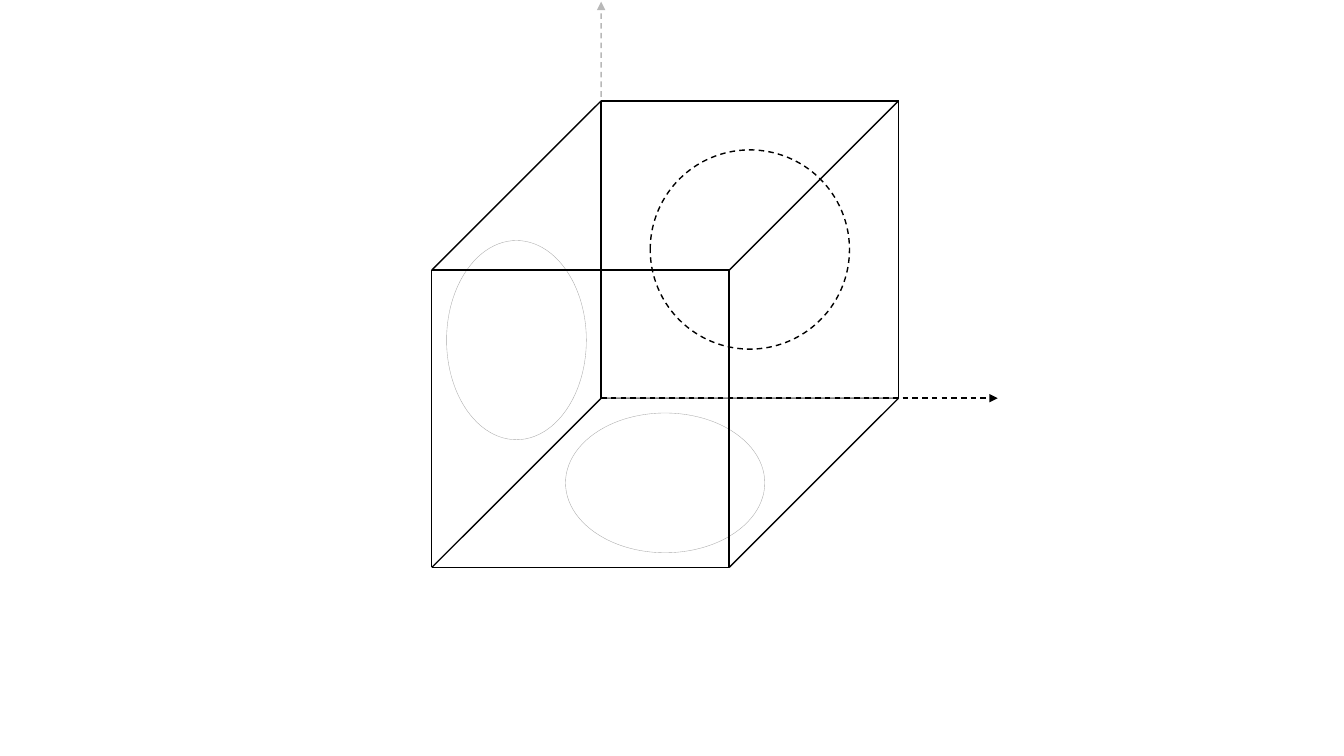
import dataclasses
import itertools

import pptx
import pptx.dml.color
import pptx.enum.dml
import pptx.enum.shapes
import pptx.oxml.ns
import pptx.util
from lxml import etree

DASH = pptx.enum.dml.MSO_LINE.DASH
INK = "000000"
GREY = "AAAAAA"

deck = pptx.Presentation()
deck.slide_width = pptx.util.Inches(13.33)
deck.slide_height = pptx.util.Inches(7.5)
slide = deck.slides.add_slide(deck.slide_layouts[6])

# Cube measures as shares of the slide height
HIGH = deck.slide_height
SIDE = HIGH * 0.3933
DEPTH = HIGH * 0.224
LEFT = HIGH * 0.795
BASE = HIGH * 0.5267

Point = tuple[float, float, float]


@dataclasses.dataclass
class Round:
    mid: Point
    wide: float
    high: float
    color: str = GREY
    weight: float = 0.25
    dashed: bool = False


@dataclasses.dataclass
class Line:
    start: Point
    end: Point
    alpha: int = 100
    arrow: bool = False


def project(point: Point) -> tuple[int, int]:
    """Place a point of the unit cube on the slide."""
    x, y, z = point
    return round(LEFT + x * SIDE - z * DEPTH), round(BASE - y * SIDE + z * DEPTH)


def paint(target, color: str) -> None:
    target.solid()
    target.fore_color.rgb = pptx.dml.color.RGBColor.from_string(color)


def add(parent, tag: str, **attrs: str):
    return etree.SubElement(parent, pptx.oxml.ns.qn(tag), attrs)


def draw_round(item: Round) -> None:
    x, y = project(item.mid)
    wide, high = round(item.wide * SIDE), round(item.high * SIDE)
    shape = slide.shapes.add_shape(
        pptx.enum.shapes.MSO_SHAPE.OVAL, x - wide // 2, y - high // 2, wide, high)
    shape.shadow.inherit = False
    paint(shape.fill, "FFFFFF")
    paint(shape.line.fill, item.color)
    shape.line.width = pptx.util.Pt(item.weight)
    if item.dashed:
        shape.line.dash_style = DASH


def draw_line(item: Line) -> None:
    link = slide.shapes.add_connector(
        pptx.enum.shapes.MSO_CONNECTOR.STRAIGHT, *project(item.start), *project(item.end))
    paint(link.line.fill, INK)
    link.line.width = pptx.util.Pt(1)
    props = link._element.spPr
    if item.alpha < 100:
        tint = props.find(".//" + pptx.oxml.ns.qn("a:srgbClr"))
        add(tint, "a:alpha", val=str(item.alpha * 1000))
    if item.arrow:
        link.line.dash_style = DASH
        add(link.line._get_or_add_ln(), "a:tailEnd", type="triangle")
    add(props, "a:effectLst")


# Circles on the left, bottom and back faces
rounds = [
    Round((0, 0.48, 0.5), 0.47, 0.67),
    Round((0.5, 0, 0.5), 0.67, 0.47),
    Round((0.5, 0.5, 0), 0.67, 0.67, INK, 1, True),
]
for item in rounds:
    draw_round(item)

# Axes from the back corner, a third longer than the cube
origin = (0, 0, 0)
draw_line(Line(origin, (0, 4 / 3, 0), alpha=27, arrow=True))
draw_line(Line(origin, (4 / 3, 0, 0), arrow=True))

# Twelve edges: each joins two corners that differ along one axis
for start, end in itertools.combinations(itertools.product((0, 1), repeat=3), 2):
    if sum(a != b for a, b in zip(start, end)) == 1:
        faint = (start, end) == (origin, (1, 0, 0))
        draw_line(Line(start, end, alpha=50 if faint else 100))

deck.save("out.pptx")
